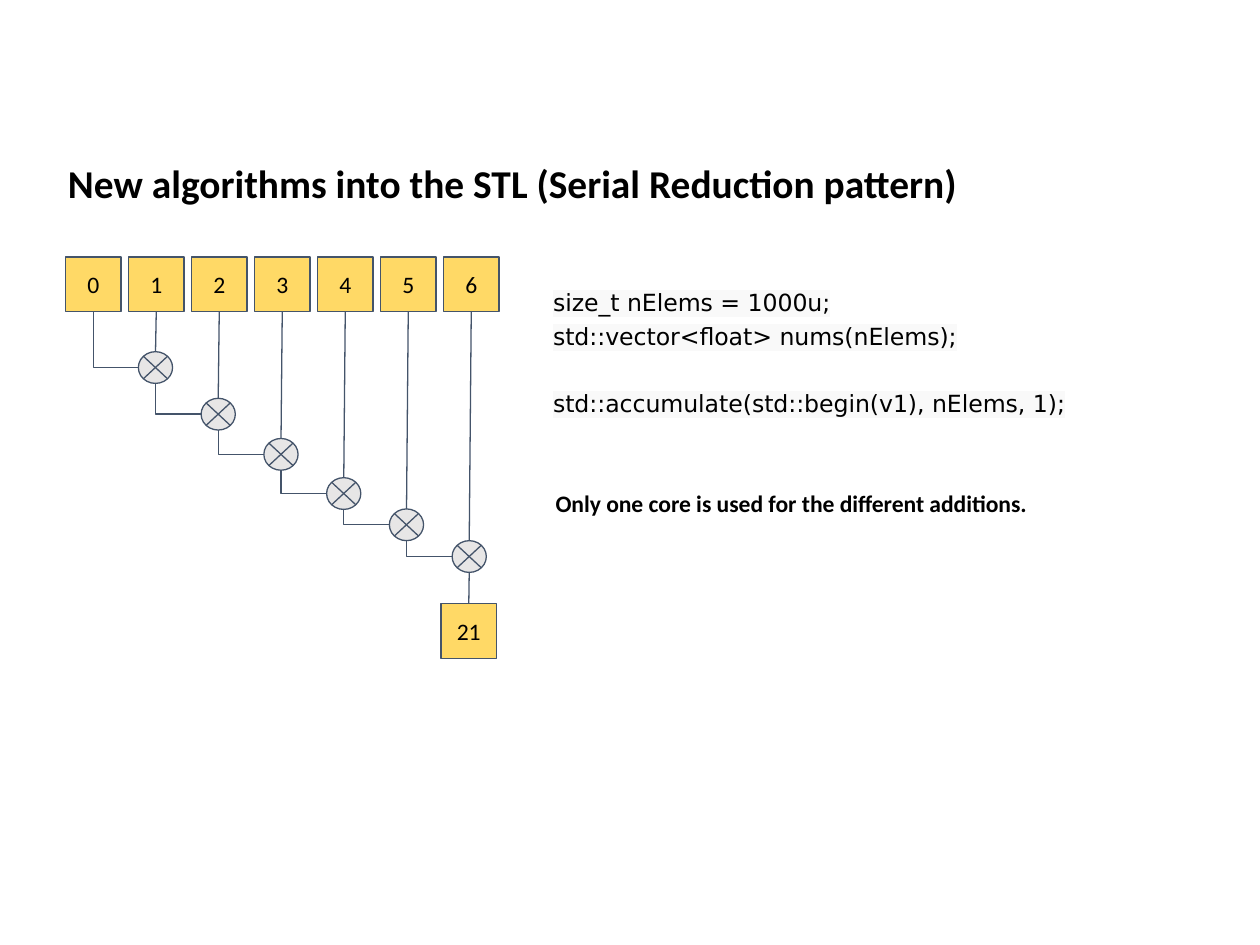
from dataclasses import dataclass
from lxml.etree import SubElement
from pptx import Presentation
from pptx.dml.color import RGBColor
from pptx.enum.shapes import MSO_CONNECTOR, MSO_SHAPE
from pptx.enum.text import MSO_ANCHOR, PP_ALIGN
from pptx.oxml.ns import qn
from pptx.util import Cm, Pt


@dataclass(frozen=True)
class Theme:
    ink: RGBColor = RGBColor.from_string("000000")
    edge: RGBColor = RGBColor.from_string("44546A")
    gold: RGBColor = RGBColor.from_string("FFD966")
    grey: RGBColor = RGBColor.from_string("E7E6E6")
    mark: str = "F9F9F9"
    sans: str = "Calibri"
    code: str = "DejaVu Sans"
    head: float = 22.5
    body: float = 13.5
    rule: float = 0.75


THEME = Theme()
BOX_W, BOX_H, BOX_TOP = 1.12, 1.1, 5.18
BOX_LEFT, BOX_STEP = 1.32, 1.27
NODE_W, NODE_H = 0.69, 0.64
NODE_LEFT, NODE_STEP = 2.79, 1.265
NODE_TOPS = [7.09, 8.03, 8.84, 9.63, 10.26, 10.9]
END_LEFT, END_TOP = 8.89, 12.17


def style(para, size, bold=False, face=THEME.sans):
    font = para.font
    font.name, font.size, font.bold = face, Pt(size), bold
    font.color.rgb = THEME.ink


def inset(frame, anchor=MSO_ANCHOR.TOP):
    frame.word_wrap = True
    frame.vertical_anchor = anchor
    frame.margin_left = frame.margin_right = Cm(0.18)
    frame.margin_top = frame.margin_bottom = Cm(0.18)


def place(shape, left, top, width, height):
    shape.left, shape.top = Cm(left), Cm(top)
    shape.width, shape.height = Cm(width), Cm(height)


def add_title(slide, text):
    title = slide.shapes.title
    place(title, 1.19, 3.02, 22.91, 1.24)
    inset(title.text_frame)
    para = title.text_frame.paragraphs[0]
    para.text = text
    para.alignment = PP_ALIGN.LEFT
    style(para, THEME.head, True)


def add_form(slide, kind, left, top, width, height, fill):
    form = slide.shapes.add_shape(kind, Cm(left), Cm(top), Cm(width), Cm(height))
    form.shadow.inherit = False
    form.fill.solid()
    form.fill.fore_color.rgb = fill
    form.line.color.rgb = THEME.edge
    form.line.width = Pt(THEME.rule)
    return form


def add_box(slide, left, top, text):
    box = add_form(slide, MSO_SHAPE.RECTANGLE, left, top, BOX_W, BOX_H, THEME.gold)
    inset(box.text_frame, MSO_ANCHOR.MIDDLE)
    para = box.text_frame.paragraphs[0]
    para.text = text
    para.alignment = PP_ALIGN.CENTER
    style(para, THEME.body)


def add_line(slide, start, end, kind=MSO_CONNECTOR.STRAIGHT):
    line = slide.shapes.add_connector(kind, *(Cm(v) for v in start + end))
    line.line.color.rgb = THEME.edge
    line.line.width = Pt(THEME.rule)
    SubElement(line._element.spPr, qn("a:effectLst"))
    return line


def add_elbow(slide, start, end):
    line = add_line(slide, end, start, MSO_CONNECTOR.ELBOW)
    line._element.spPr.find(qn("a:prstGeom")).set("prst", "bentConnector2")


def add_chain(slide):
    base = BOX_TOP + BOX_H
    mids = [BOX_LEFT + BOX_W / 2 + BOX_STEP * i for i in range(7)]
    for i, mid in enumerate(mids):
        add_box(slide, mid - BOX_W / 2, BOX_TOP, str(i))
    last = (mids[0], base)
    for i, top in enumerate(NODE_TOPS):
        left = NODE_LEFT + NODE_STEP * i
        mid = left + NODE_W / 2
        add_form(slide, MSO_SHAPE.FLOWCHART_SUMMING_JUNCTION,
                 left, top, NODE_W, NODE_H, THEME.grey)
        add_line(slide, (mids[i + 1], base), (mid, top))
        add_elbow(slide, last, (left, top + NODE_H / 2))
        last = (mid, top + NODE_H)
    add_box(slide, END_LEFT, END_TOP, "21")
    add_line(slide, last, (END_LEFT + BOX_W / 2, END_TOP))


def add_text(slide, left, top, width, height):
    frame = slide.shapes.add_textbox(
        Cm(left), Cm(top), Cm(width), Cm(height)).text_frame
    inset(frame)
    return frame


def add_code(slide, rows):
    frame = add_text(slide, 10.97, 5.51, 13.67, 4.11)
    for i, (text, gap) in enumerate(rows):
        para = frame.paragraphs[0] if i == 0 else frame.add_paragraph()
        run = para.add_run()
        run.text = text
        para.line_spacing = 1.2
        if gap:
            para.space_before = Pt(gap)
        style(para, THEME.body, face=THEME.code)
        glow = SubElement(run._r.get_or_add_rPr(), qn("a:highlight"))
        SubElement(glow, qn("a:srgbClr"), val=THEME.mark)


def add_note(slide, text):
    para = add_text(slide, 11.02, 9.68, 11.96, 1.4).paragraphs[0]
    para.text = text
    style(para, THEME.body, True)


def main():
    deck = Presentation()
    deck.slide_width, deck.slide_height = Cm(25.4), Cm(19.05)
    slide = deck.slides.add_slide(deck.slide_layouts[5])
    add_title(slide, "New algorithms into the STL (Serial Reduction pattern)")
    add_chain(slide)
    add_code(slide, [
        ("size_t nElems = 1000u;", 0),
        ("std::vector<float> nums(nElems);", 0),
        ("std::accumulate(std::begin(v1), nElems, 1);", 19),
    ])
    add_note(slide, "Only one core is used for the different additions.")
    deck.save("out.pptx")


if __name__ == "__main__":
    main()
